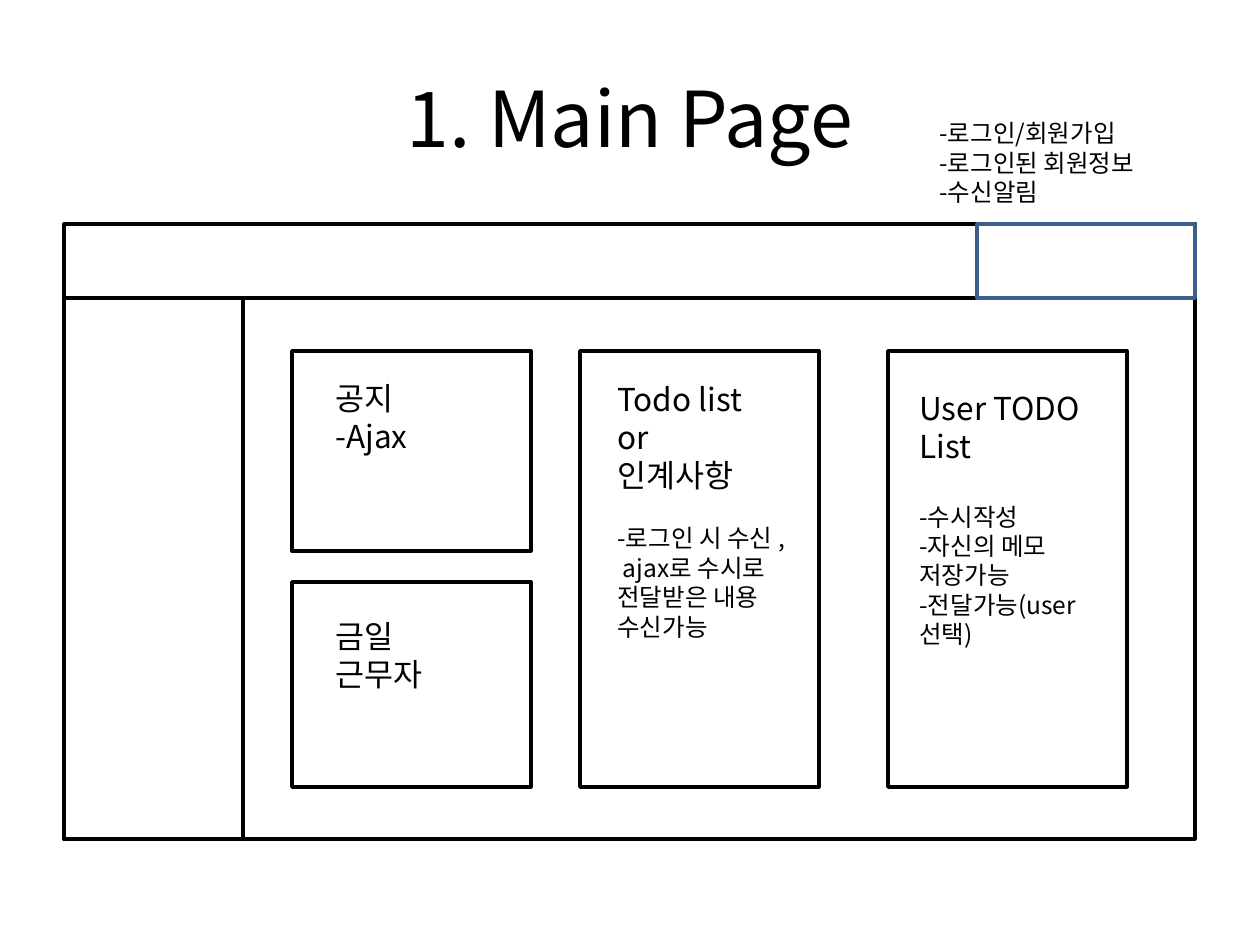
from lxml.etree import SubElement
from pptx import Presentation
from pptx.dml.color import RGBColor
from pptx.enum.shapes import MSO_SHAPE as Preset
from pptx.enum.text import MSO_ANCHOR as Anchor, MSO_AUTO_SIZE as AutoSize, PP_ALIGN as Align
from pptx.oxml.ns import qn
from pptx.util import Emu, Pt

BLACK = RGBColor(0x00, 0x00, 0x00)
BLUE = RGBColor(0x3A, 0x5F, 0x8C)
FONT = "Noto Sans CJK KR"
PX_PER_INCH = 126
HEADING, DETAIL = 18, 14


def px(length):
    return Emu(round(length * 914400 / PX_PER_INCH))


class Wireframe:
    def __init__(self, slide):
        self.slide = slide
        self.font = FONT
        self.line_width = Pt(2)

    def box(self, left, top, width, height, color=BLACK):
        outline = self.slide.shapes.add_shape(
            Preset.RECTANGLE, px(left), px(top), px(width), px(height))
        outline.shadow.inherit = False
        outline.fill.background()
        outline.line.color.rgb = color
        outline.line.width = self.line_width

    def style(self, paragraph, size):
        for run in paragraph.runs:
            run.font.size = Pt(size)
            run.font.name = self.font
            run.font.color.rgb = BLACK
            SubElement(run.font._element, qn("a:ea"), typeface=self.font)

    def title(self, text, left, top, width, height):
        frame = self.slide.shapes.add_textbox(
            px(left), px(top), px(width), px(height)).text_frame
        frame.word_wrap = True
        frame.vertical_anchor = Anchor.MIDDLE
        frame.text = text
        frame.paragraphs[0].alignment = Align.CENTER
        self.style(frame.paragraphs[0], 44)

    def note(self, left, top, width, height, headings=(), details=(), gap=0):
        frame = self.slide.shapes.add_textbox(
            px(left), px(top), px(width), px(height)).text_frame
        frame.word_wrap = True
        frame.auto_size = AutoSize.SHAPE_TO_FIT_TEXT
        frame.text = "\n".join([*headings, *details])
        for index, paragraph in enumerate(frame.paragraphs):
            self.style(paragraph, HEADING if index < len(headings) else DETAIL)
            if headings and index == len(headings):
                paragraph.space_before = Pt(gap)


def main():
    deck = Presentation()
    deck.slide_width, deck.slide_height = px(1260), px(945)
    page = Wireframe(deck.slides.add_slide(deck.slide_layouts[6]))

    left, top, width, height = 64, 224, 1131, 615
    header_height, sidebar_width, account_width = 74, 179, 218
    card_top, card_bottom, card_width = 351, 787, 239
    notice_left, todo_left, memo_left = 292, 580, 888
    notice_height, staff_top = 200, 582
    card_height = card_bottom - card_top

    page.title("1. Main Page", 63, 38, 1134, 158)
    page.box(left, top, width, height)
    page.box(left, top, width, header_height)
    page.box(left, top + header_height, sidebar_width, height - header_height)
    page.box(notice_left, card_top, card_width, notice_height)
    page.box(notice_left, staff_top, card_width, card_bottom - staff_top)
    for card_left in (memo_left, todo_left):
        page.box(card_left, card_top, card_width, card_height)

    page.note(323, 373, 159, 89, ["공지", "-Ajax"])
    page.note(323, 611, 159, 89, ["금일", "근무자"])
    page.note(605, 374, 189, 276, ["Todo list", "or", "인계사항"],
              ["-로그인 시 수신 , ajax로 수시로 전달받은 내용 수신가능"], gap=17)
    page.note(907, 383, 189, 276, ["User TODO List"],
              ["-수시작성", "-자신의 메모 저장가능", "-전달가능(user 선택)"], gap=21)

    page.box(left + width - account_width, top, account_width, header_height, BLUE)
    page.note(927, 112, 268, 102,
              details=["-로그인/회원가입", "-로그인된 회원정보", "-수신알림"])

    deck.save("out.pptx")


if __name__ == "__main__":
    main()
